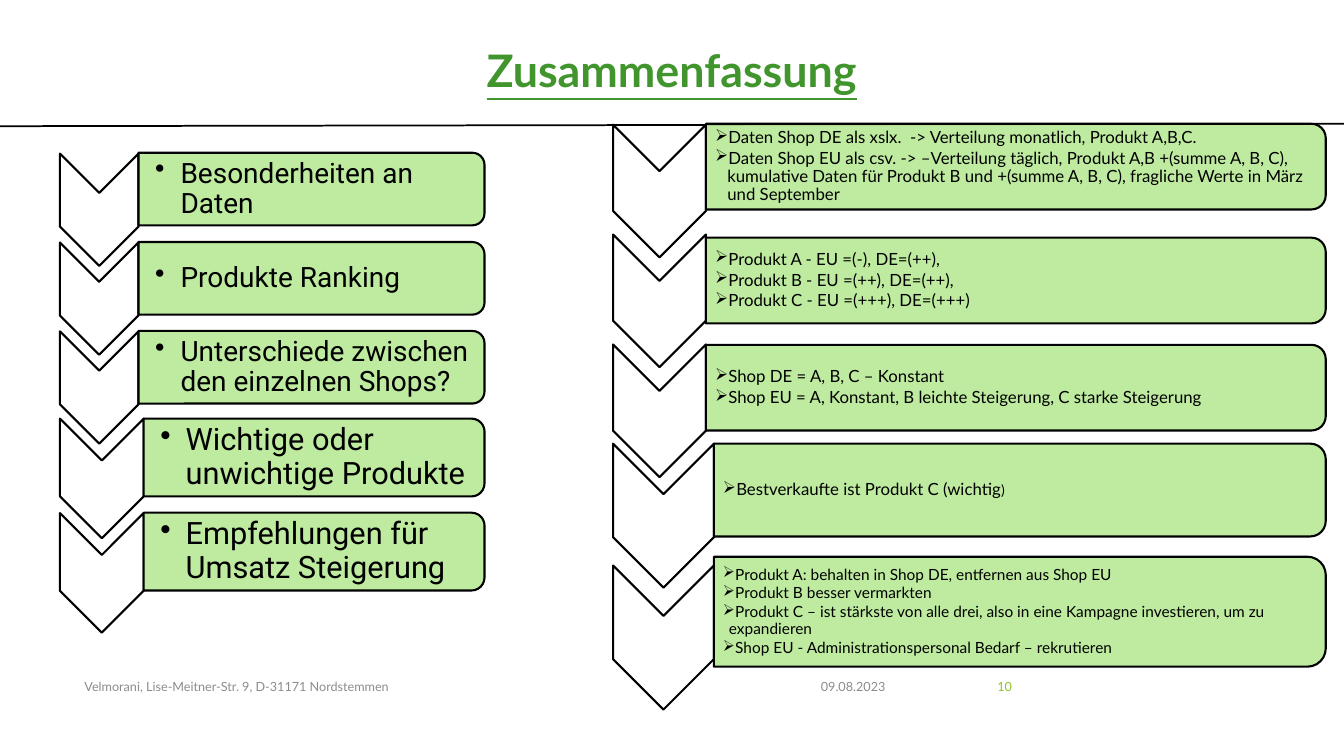
"""Build the summary slide with two columns of chevrons and cards."""
from lxml.etree import SubElement
from pptx import Presentation
from pptx.dml.color import RGBColor
from pptx.enum.shapes import MSO_CONNECTOR, MSO_SHAPE
from pptx.enum.text import MSO_ANCHOR, PP_ALIGN
from pptx.oxml.ns import qn
from pptx.util import Cm, Pt

BLACK = RGBColor(0x00, 0x00, 0x00)
WHITE = RGBColor(0xFF, 0xFF, 0xFF)
GREY = RGBColor(0x8C, 0x8C, 0x8C)
TITLE_GREEN = RGBColor(0x41, 0x95, 0x2D)
NUMBER_GREEN = RGBColor(0x90, 0xC2, 0x26)
CARD_GREEN = RGBColor(0xB7, 0xE9, 0x96)

prs = Presentation()
prs.slide_width, prs.slide_height = Cm(33.87), Cm(19.05)
s = prs.slides.add_slide(prs.slide_layouts[6])


def add_turned(kind, left, top, width, height, fill):
    """Add a shape turned by 90 degrees that covers the given area."""
    sp = s.shapes.add_shape(kind, Cm(left + (width - height) / 2),
                            Cm(top + (height - width) / 2), Cm(height), Cm(width))
    sp.rotation = 90
    sp.shadow.inherit = False
    sp.fill.solid()
    sp.fill.fore_color.rgb = fill
    sp.line.color.rgb = BLACK
    sp.line.width = Pt(1.5)
    return sp


def add_run(p, text, font, size, color):
    """Add one formatted run to a paragraph."""
    r = p.add_run()
    r.text = text
    r.font.name = font
    r.font.size = Pt(size)
    r.font.color.rgb = color
    return r


tf = s.shapes.add_textbox(Cm(6.15), Cm(0.28), Cm(21.56), Cm(2.9)).text_frame
tf.word_wrap = True
p = tf.paragraphs[0]
p.alignment = PP_ALIGN.CENTER
p.line_spacing = 1.5
r = add_run(p, "Zusammenfassung", "Lato", 32, TITLE_GREEN)
r.font.bold = True
r.font.underline = True

footers = [
    (20.02, 2.54, "09.08.2023", PP_ALIGN.RIGHT, GREY),
    (1.88, 17.5, "Velmorani, Lise-Meitner-Str. 9, D-31171 Nordstemmen", PP_ALIGN.LEFT, GREY),
    (23.85, 1.9, "10", PP_ALIGN.RIGHT, NUMBER_GREEN),
]
for left, width, text, align, color in footers:
    tf = s.shapes.add_textbox(Cm(left), Cm(16.79), Cm(width), Cm(1.02)).text_frame
    tf.word_wrap = True
    tf.vertical_anchor = MSO_ANCHOR.MIDDLE
    p = tf.paragraphs[0]
    p.alignment = align
    add_run(p, text, "Lato", 9, color)

rule = s.shapes.add_connector(MSO_CONNECTOR.STRAIGHT, Cm(0), Cm(3.18), Cm(33.87), Cm(3.12))
rule.line.color.rgb = BLACK
rule.line.width = Pt(1.25)
SubElement(rule._element.spPr, qn("a:effectLst"))

# Each step: chevron width, chevron top, card top, card height, size, indent, paragraphs
topics = [
    (1.98, 3.87, 3.85, 1.83, 20, 0.64, ["Besonderheiten an Daten"]),
    (1.98, 6.11, 6.1, 1.83, 20, 0.64, ["Produkte Ranking"]),
    (1.98, 8.35, 8.34, 1.83, 20, 0.64, ["Unterschiede zwischen den einzelnen Shops?"]),
    (2.11, 10.55, 10.55, 1.96, 22, 0.64, ["Wichtige oder unwichtige Produkte"]),
    (2.11, 12.93, 12.92, 1.96, 22, 0.64, ["Empfehlungen für Umsatz Steigerung"]),
]
findings = [
    (2.34, 3.14, 3.12, 2.16, 12, 0.31, [
        "Daten Shop DE als xslx.  -> Verteilung monatlich, Produkt A,B,C.",
        "Daten Shop EU als csv. -> –Verteilung täglich, Produkt A,B +(summe A, B, C), "
        "kumulative Daten für Produkt B und +(summe A, B, C), "
        "fragliche Werte in März und September"]),
    (2.34, 5.91, 5.99, 2.16, 12, 0.31, [
        "Produkt A - EU =(-), DE=(++),",
        "Produkt B - EU =(++), DE=(++),",
        "Produkt C - EU =(+++), DE=(+++)"]),
    (2.34, 8.68, 8.69, 2.16, 12, 0.31, [
        "Shop DE = A, B, C – Konstant",
        "Shop EU = A, Konstant, B leichte Steigerung, C starke Steigerung"]),
    (2.54, 11.18, 11.18, 2.34, 12, 0.31, ["Bestverkaufte ist Produkt C (wichtig"]),
    (2.54, 14.25, 14.03, 2.77, 11, 0.15, [
        "Produkt A: behalten in Shop DE, entfernen aus Shop EU",
        "Produkt B besser vermarkten",
        "Produkt C – ist stärkste von alle drei, also in eine Kampagne investieren, "
        "um zu expandieren",
        "Shop EU - Administrationspersonal Bedarf – rekrutieren"]),
]
columns = [
    (1.51, 12.21, "Roboto", "•", 0.42, topics),
    (15.45, 33.41, "Lato", "➢", 0.23, findings),
]
for left, right, font, bullet, inset, steps in columns:
    for width, chevron_top, top, height, size, indent, lines in steps:
        add_turned(MSO_SHAPE.CHEVRON, left, chevron_top, width, width / 0.7, WHITE)
        card_left = left + width
        card_width = right - card_left
        card = add_turned(MSO_SHAPE.ROUND_2_SAME_RECTANGLE, card_left, top,
                          card_width, height, CARD_GREEN)
        color = card._element.spPr.find(qn("a:solidFill"))[0]
        SubElement(color, qn("a:alpha"), val="90000")

        tf = s.shapes.add_textbox(Cm(card_left), Cm(top + 0.1), Cm(card_width - 0.1),
                                  Cm(height - 0.2)).text_frame
        tf.word_wrap = True
        tf.vertical_anchor = MSO_ANCHOR.MIDDLE
        tf.margin_left = Cm(inset)
        tf.margin_top = tf.margin_right = tf.margin_bottom = Cm(0.03)
        for i, line in enumerate(lines):
            p = tf.add_paragraph() if i else tf.paragraphs[0]
            p.line_spacing = 0.9
            p.space_after = Pt(size * 0.15)
            pPr = p._p.get_or_add_pPr()
            pPr.set("marL", str(Cm(indent)))
            pPr.set("indent", str(-Cm(indent)))
            SubElement(pPr, qn("a:buChar"), char=bullet)
            add_run(p, line, font, size, BLACK)
            if line.endswith("(wichtig"):
                add_run(p, ")", font, 10, BLACK)

prs.save("out.pptx")
